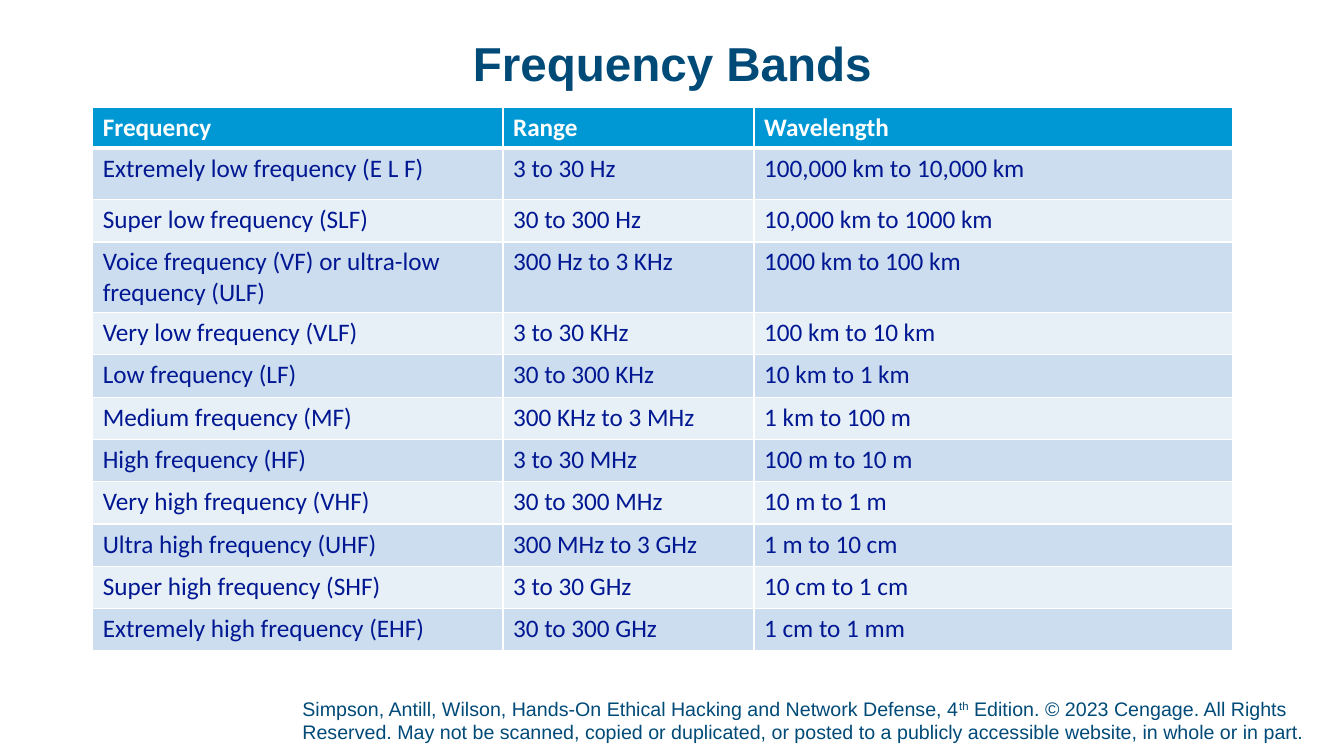
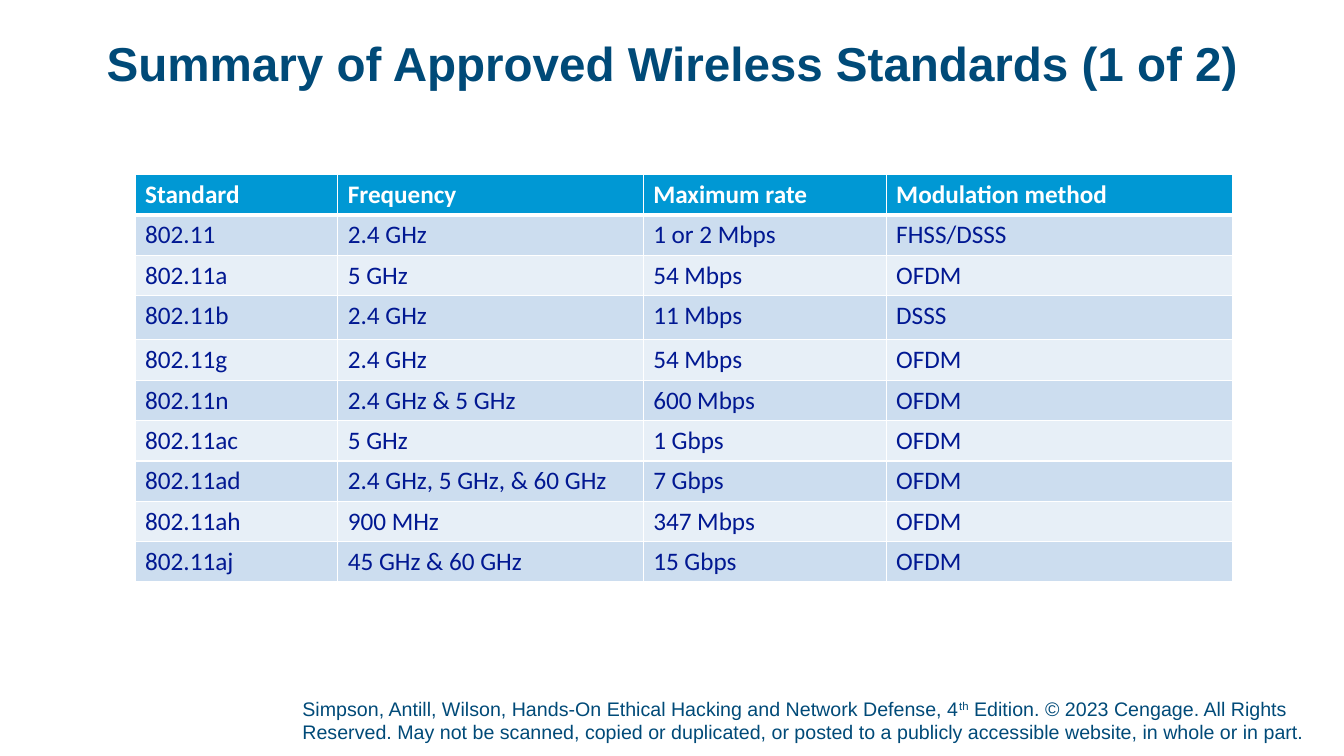
from lxml import etree
from pptx import Presentation
from pptx import util as u
from pptx.dml.color import RGBColor
from pptx.enum import text
from pptx.oxml.ns import qn

NAVY = RGBColor(0x00, 0x4A, 0x78)
INK = RGBColor(0x01, 0x18, 0x92)
WHITE = RGBColor(0xFF, 0xFF, 0xFF)
HEADER_BLUE = RGBColor(0x00, 0x98, 0xD4)
BANDS = (RGBColor(0xE7, 0xEF, 0xF7), RGBColor(0xCC, 0xDD, 0xEF))

TITLE = {"name": "Arial", "size": u.Pt(34), "bold": True}
FOOTER = {"name": "Arial", "size": u.Pt(14), "bold": False}
CELL = {"name": "Calibri", "size": u.Pt(18)}

FOOTER_SPANS = (
    ("Simpson, Antill, Wilson, Hands-On Ethical Hacking and Network Defense, 4", False),
    ("th", True),
    (" Edition. © 2023 Cengage. All Rights Reserved. May not be scanned, copied or "
     "duplicated, or posted to a publicly accessible website, in whole or in part.", False),
)

# Lengths are percentages of the slide's width or height.
SLIDES = (
    {
        "title": "Frequency Bands",
        "left": 6.9, "top": 14.27,
        "columns": (30.53, 18.68, 35.63),
        "row": 5.6, "special_rows": {0: 5.33, 1: 6.8, 3: 9.33},
        "cells": (
            ("Frequency", "Range", "Wavelength"),
            ("Extremely low frequency (E L F)", "3 to 30 Hz", "100,000 km to 10,000 km"),
            ("Super low frequency (SLF)", "30 to 300 Hz", "10,000 km to 1000 km"),
            ("Voice frequency (VF) or ultra-low frequency (ULF)", "300 Hz to 3 KHz",
             "1000 km to 100 km"),
            ("Very low frequency (VLF)", "3 to 30 KHz", "100 km to 10 km"),
            ("Low frequency (LF)", "30 to 300 KHz", "10 km to 1 km"),
            ("Medium frequency (MF)", "300 KHz to 3 MHz", "1 km to 100 m"),
            ("High frequency (HF)", "3 to 30 MHz", "100 m to 10 m"),
            ("Very high frequency (VHF)", "30 to 300 MHz", "10 m to 1 m"),
            ("Ultra high frequency (UHF)", "300 MHz to 3 GHz", "1 m to 10 cm"),
            ("Super high frequency (SHF)", "3 to 30 GHz", "10 cm to 1 cm"),
            ("Extremely high frequency (EHF)", "30 to 300 GHz", "1 cm to 1 mm"),
        ),
    },
    {
        "title": "Summary of Approved Wireless Standards (1 of 2)",
        "left": 10.05, "top": 23.07,
        "columns": (15.08, 22.73, 18.08, 25.81),
        "row": 5.33, "special_rows": {3: 5.87},
        "cells": (
            ("Standard", "Frequency", "Maximum rate", "Modulation method"),
            ("802.11", "2.4 GHz", "1 or 2 Mbps", "FHSS/DSSS"),
            ("802.11a", "5 GHz", "54 Mbps", "OFDM"),
            ("802.11b", "2.4 GHz", "11 Mbps", "DSSS"),
            ("802.11g", "2.4 GHz", "54 Mbps", "OFDM"),
            ("802.11n", "2.4 GHz & 5 GHz", "600 Mbps", "OFDM"),
            ("802.11ac", "5 GHz", "1 Gbps", "OFDM"),
            ("802.11ad", "2.4 GHz, 5 GHz, & 60 GHz", "7 Gbps", "OFDM"),
            ("802.11ah", "900 MHz", "347 Mbps", "OFDM"),
            ("802.11aj", "45 GHz & 60 GHz", "15 Gbps", "OFDM"),
        ),
    },
)

deck = Presentation()
deck.slide_width, deck.slide_height = u.Inches(13.33), u.Inches(7.5)
TITLE_ONLY = deck.slide_layouts[5]


def area(left, top, width, height):
    """Turn percentages of the slide into left, top, width and height."""
    shares = (left, top, width, height)
    sides = (deck.slide_width, deck.slide_height) * 2
    return [u.Emu(round(side * share / 100)) for share, side in zip(shares, sides)]


def style(font, values, color):
    for name, value in values.items():
        setattr(font, name, value)
    font.color.rgb = color


for content in SLIDES:
    page = deck.slides.add_slide(TITLE_ONLY)

    # Footer
    footer = page.shapes.add_textbox(*area(22.5, 92.13, 74.72, 6.93))
    frame = footer.text_frame
    frame.word_wrap = True
    frame.vertical_anchor = text.MSO_ANCHOR.BOTTOM
    frame.margin_left = frame.margin_right = frame.margin_top = 0
    frame.margin_bottom = u.Inches(0.05)
    for words, raised in FOOTER_SPANS:
        span = frame.paragraphs[0].add_run()
        span.text = words
        style(span.font, FOOTER, NAVY)
        if raised:
            span.font._element.set("baseline", "30000")

    # Title
    title = page.shapes.title
    title.left, title.top, title.width, title.height = area(6.9, 5.33, 86.27, 9.87)
    frame = title.text_frame
    frame.text = content["title"]
    frame.word_wrap = True
    frame.auto_size = text.MSO_AUTO_SIZE.NONE
    frame.vertical_anchor = text.MSO_ANCHOR.TOP
    frame.margin_left = frame.margin_right = frame.margin_top = frame.margin_bottom = 0
    para = frame.paragraphs[0]
    para.alignment = text.PP_ALIGN.CENTER
    para.line_spacing = 0.9
    style(para.runs[0].font, TITLE, NAVY)

    # Table
    cells, columns = content["cells"], content["columns"]
    heights = [content["special_rows"].get(row, content["row"]) for row in range(len(cells))]
    place = area(content["left"], content["top"], sum(columns), sum(heights))
    table = page.shapes.add_table(len(cells), len(columns), *place).table
    table.horz_banding = False
    for column, share in zip(table.columns, columns):
        column.width = area(0, 0, share, 0)[2]
    for row, share in zip(table.rows, heights):
        row.height = area(0, 0, 0, share)[3]

    for row, labels in enumerate(cells):
        is_header = row == 0
        borders = {"L": 1, "R": 1, "T": 3 if row == 1 else 1, "B": 3 if is_header else 1}
        for column, label in enumerate(labels):
            cell = table.cell(row, column)
            properties = cell._tc.get_or_add_tcPr()
            for side, points in borders.items():
                line = etree.SubElement(properties, qn(f"a:ln{side}"), w=str(u.Pt(points)))
                fill = etree.SubElement(line, qn("a:solidFill"))
                etree.SubElement(fill, qn("a:srgbClr"), val=str(WHITE))
            cell.fill.solid()
            cell.fill.fore_color.rgb = HEADER_BLUE if is_header else BANDS[row % 2]
            cell.text = label
            font = cell.text_frame.paragraphs[0].runs[0].font
            style(font, CELL | {"bold": is_header}, WHITE if is_header else INK)

deck.save("out.pptx")
